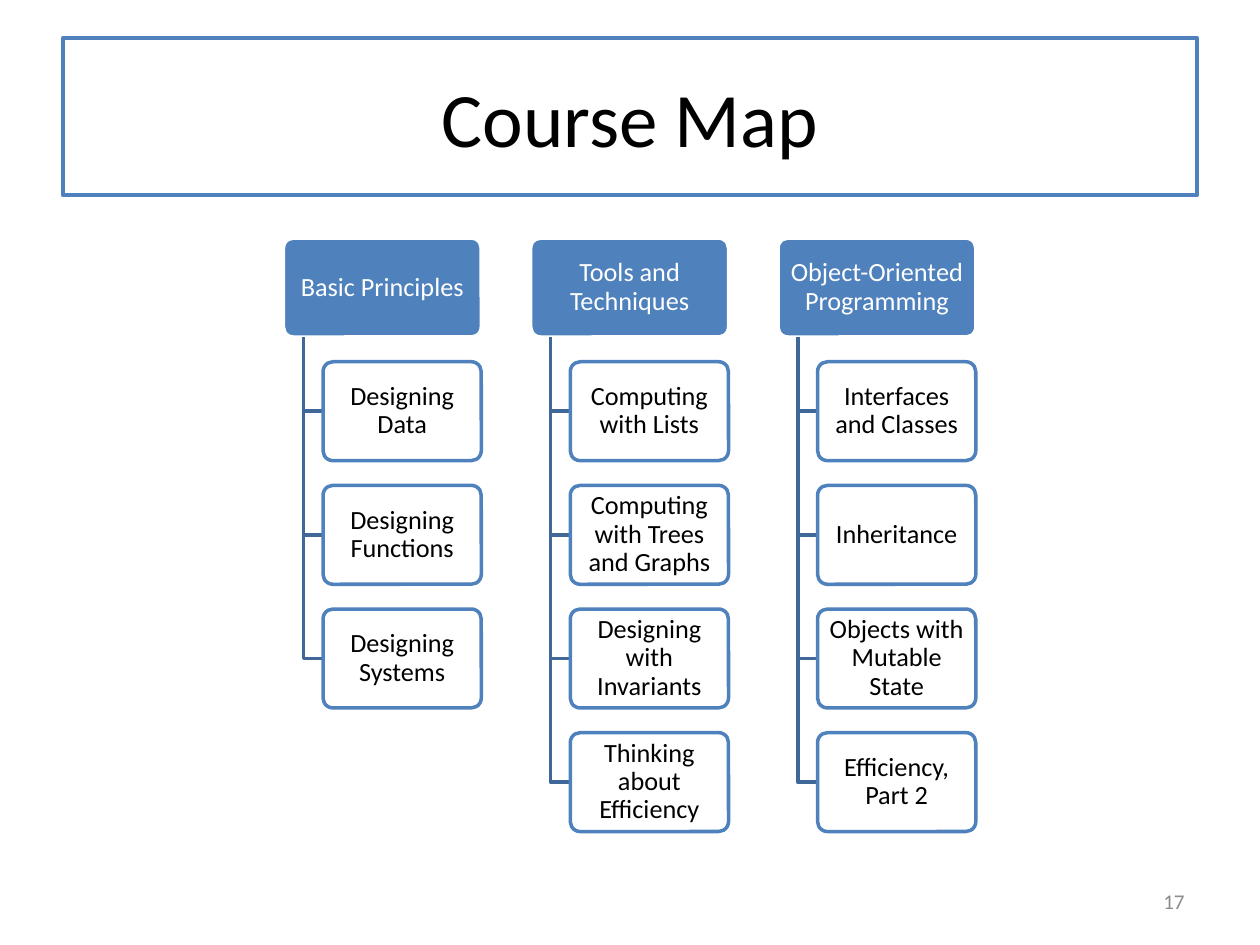
from lxml.etree import SubElement
from pptx import Presentation
from pptx.dml.color import RGBColor
from pptx.enum.shapes import MSO_SHAPE
from pptx.enum.text import MSO_ANCHOR, PP_ALIGN
from pptx.oxml.ns import qn
from pptx.util import Inches, Pt

COLORS = {
    "blue": "4F81BD",
    "stem": "3F6797",
    "white": "FFFFFF",
    "black": "000000",
    "gray": "8C8C8C",
}

TOPICS = {
    "Basic Principles": [
        "Designing Data", "Designing Functions", "Designing Systems",
    ],
    "Tools and Techniques": [
        "Computing with Lists", "Computing with Trees and Graphs",
        "Designing with Invariants", "Thinking about Efficiency",
    ],
    "Object-Oriented Programming": [
        "Interfaces and Classes", "Inheritance",
        "Objects with Mutable State", "Efficiency, Part 2",
    ],
}


def color(name):
    return RGBColor.from_string(COLORS[name])


def set_line(shape, name, width):
    shape.line.color.rgb = color(name)
    shape.line.width = Pt(width)


def set_text(shape, text, size, name, align=PP_ALIGN.CENTER):
    frame = shape.text_frame
    frame.word_wrap = True
    frame.vertical_anchor = MSO_ANCHOR.MIDDLE
    para = frame.paragraphs[0]
    para.text = text
    para.alignment = align
    para.font.name = "Calibri"
    para.font.size = Pt(size)
    para.font.color.rgb = color(name)
    return frame


def add_title(slide, text, left, top, width, height):
    title = slide.shapes.title
    title.left, title.top = Inches(left), Inches(top)
    title.width, title.height = Inches(width), Inches(height)
    set_line(title, "blue", 2.25)
    set_text(title, text, 44, "black")


def add_number(slide, text, left, top, width, height):
    box = slide.shapes.add_textbox(
        Inches(left), Inches(top), Inches(width), Inches(height))
    set_text(box, text, 12, "gray", PP_ALIGN.RIGHT)


def add_card(slide, text, left, top, width, height, fill, line, ink):
    card = slide.shapes.add_shape(
        MSO_SHAPE.ROUNDED_RECTANGLE,
        Inches(left), Inches(top), Inches(width), Inches(height))
    card.adjustments[0] = 0.1
    card.shadow.inherit = False
    card.fill.solid()
    card.fill.fore_color.rgb = color(fill)
    set_line(card, line, 2)
    frame = set_text(card, text, 15, ink)
    frame.margin_left = frame.margin_right = Inches(0.03)
    frame.margin_top = frame.margin_bottom = Inches(0.02)
    frame.paragraphs[0].line_spacing = 0.9
    return card


def add_elbow(slide, left, top, right, bottom):
    path = slide.shapes.build_freeform(Inches(left), Inches(top))
    path.add_line_segments(
        [(Inches(left), Inches(bottom)), (Inches(right), Inches(bottom))],
        close=False)
    elbow = path.convert_to_shape()
    elbow.shadow.inherit = False
    elbow.fill.background()
    set_line(elbow, "stem", 2)


def add_column(slide, head, items, left, top, width):
    height = width / 2
    add_card(slide, head, left, top, width, height, "blue", "white", "white")
    inner = left + 0.2 * width
    for row, item in enumerate(items, 1):
        y = top + row * 1.25 * height
        add_elbow(slide, left + 0.1 * width, top + height,
                  inner, y + height / 2)
        card = add_card(slide, item, inner, y, 0.8 * width, height,
                        "white", "blue", "black")
        # Slightly transparent fill
        tint = card.fill._xPr.find(qn("a:solidFill"))[0]
        SubElement(tint, qn("a:alpha")).set("val", "90000")


def add_map(slide, left, top, width):
    # Columns are separated by a quarter of their width
    for col, (head, items) in enumerate(TOPICS.items()):
        add_column(slide, head, items, left + col * 1.25 * width, top, width)


def main():
    deck = Presentation()
    deck.slide_width, deck.slide_height = Inches(10), Inches(7.5)
    slide = deck.slides.add_slide(deck.slide_layouts[5])
    add_title(slide, "Course Map", 0.5, 0.3, 9, 1.25)
    add_number(slide, "17", 7.17, 6.95, 2.33, 0.4)
    add_map(slide, 2.25, 1.89, 1.57)
    deck.save("out.pptx")


if __name__ == "__main__":
    main()
